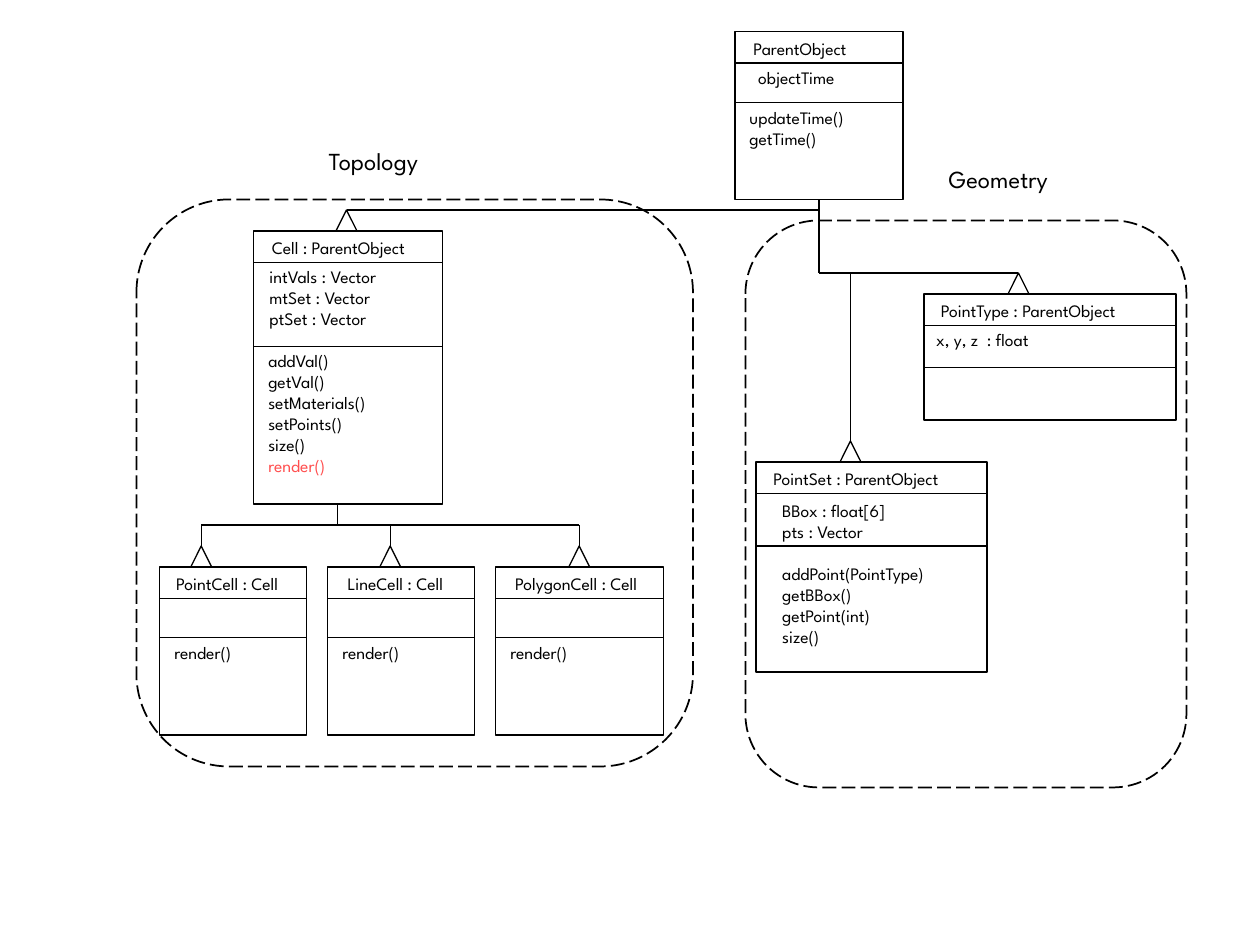
from pptx import Presentation
from pptx.dml.color import RGBColor
from pptx.enum.dml import MSO_LINE
from pptx.enum.shapes import MSO_CONNECTOR, MSO_SHAPE
from pptx.enum.text import MSO_AUTO_SIZE
from pptx.oxml.ns import qn
from pptx.util import Pt

BLACK, RED = "000000", "FF5050"


def add_text(text, left, top, width, size=10, color=BLACK, last_color=None):
    lines = text.split("\n")
    height = 7.4 + 1.2 * size * len(lines)
    box = page.shapes.add_textbox(Pt(left), Pt(top), Pt(width), Pt(height))
    box.text_frame.word_wrap = False
    box.text_frame.auto_size = MSO_AUTO_SIZE.SHAPE_TO_FIT_TEXT
    box.text_frame.text = text
    for para in box.text_frame.paragraphs:
        font = para.runs[0].font
        font.name = "League Spartan"
        font.size = Pt(size)
        font.color.rgb = RGBColor.from_string(color)
    font.color.rgb = RGBColor.from_string(last_color or color)


def add_line(left, top, right, bottom):
    line = page.shapes.add_connector(
        MSO_CONNECTOR.STRAIGHT, Pt(left), Pt(top), Pt(right), Pt(bottom))
    line.line.color.rgb = RGBColor.from_string(BLACK)
    line.line.width = Pt(0.75)
    properties = line._element.spPr
    properties.append(properties.makeelement(qn("a:effectLst"), {}))
    return line


deck = Presentation()
deck.slide_width, deck.slide_height = Pt(720), Pt(540)
page = deck.slides.add_slide(deck.slide_layouts[6])

classes = {
    "Cell : ParentObject": (145, 132, 108, 156, 66),
    "PointCell : Cell": (91, 324, 84, 96, 40.5),
    "LineCell : Cell": (187, 324, 84, 96, 40.5),
    "PolygonCell : Cell": (283, 324, 96, 96, 40.5),
    "ParentObject": (420, 18, 96, 96, 40.5),
    "PointType : ParentObject": (528, 168, 144, 72, 42),
    "PointSet : ParentObject": (432, 264, 132, 120, 48),
}
titles = [(148.3, 100.8), (93.6, 80.6), (191.5, 75.6), (287.3, 94.3),
          (423.4, 75.6), (530.6, 130.3), (434.9, 122.4)]
leaf_apexes = [115, 223, 331]
apexes = [(x, 312) for x in leaf_apexes] + [(198, 120), (486, 252), (582, 156)]
groups = [(78, 114, 318, 324), (426, 126, 252, 324)]

outlines = [(MSO_SHAPE.RECTANGLE, *place[:4]) for place in classes.values()]
outlines += [(MSO_SHAPE.ISOSCELES_TRIANGLE, x - 6, y, 12, 12) for x, y in apexes]
outlines += [(MSO_SHAPE.FLOWCHART_ALTERNATE_PROCESS, *place) for place in groups]
shapes = []
for kind, *place in outlines:
    shape = page.shapes.add_shape(kind, *[Pt(value) for value in place])
    shape.shadow.inherit = False
    shape.fill.background()
    shape.line.color.rgb = RGBColor.from_string(BLACK)
    shape.line.width = Pt(0.75)
    if kind == MSO_SHAPE.FLOWCHART_ALTERNATE_PROCESS:
        shape.line.width = Pt(1)
        shape.line.dash_style = MSO_LINE.LONG_DASH
    shapes.append(shape)
class_boxes = dict(zip(classes, shapes))

for (name, place), (title_left, title_width) in zip(classes.items(), titles):
    left, top, width, height, divider = place
    add_text(name, title_left, top, title_width)
    for offset in (18, divider):
        add_line(left, top + offset, left + width, top + offset)
    if name.endswith(": Cell"):
        add_text("render()", left + 1.5, top + 39.6, 51.8)

add_text("intVals : Vector\nmtSet : Vector\nptSet : Vector", 146.9, 148.3, 83.5)
add_text("addVal()\ngetVal()\nsetMaterials()\nsetPoints()\nsize()\nrender()",
         146.2, 196.6, 77.8, last_color=RED)
add_text("objectTime", 426.2, 34.6, 66.2)
add_text("updateTime()\ngetTime()", 421.2, 57.6, 76.3)
add_text("x, y, z  : float", 527.8, 184.3, 71.3)
add_text("BBox : float[6]\npts : Vector", 439.9, 282.2, 79.9)
add_text("addPoint(PointType)\ngetBBox()\ngetPoint(int)\nsize()", 439.9, 318.2, 109.4)
add_text("Topology", 180.7, 79.9, 75.6, size=14)
add_text("Geometry", 535, 90, 79.9, size=14)

add_line(193, 288, 193, 300)
add_line(leaf_apexes[0], 300, leaf_apexes[-1], 300)
for x in leaf_apexes:
    add_line(x, 300, x, 312)

for bottom in (120, 156):
    stem = add_line(468, 114, 468, bottom)
    stem.begin_connect(class_boxes["ParentObject"], 2)
add_line(468, 120, 198, 120)
add_line(468, 156, 582, 156)
add_line(486, 156, 486, 252)

deck.save("out.pptx")
